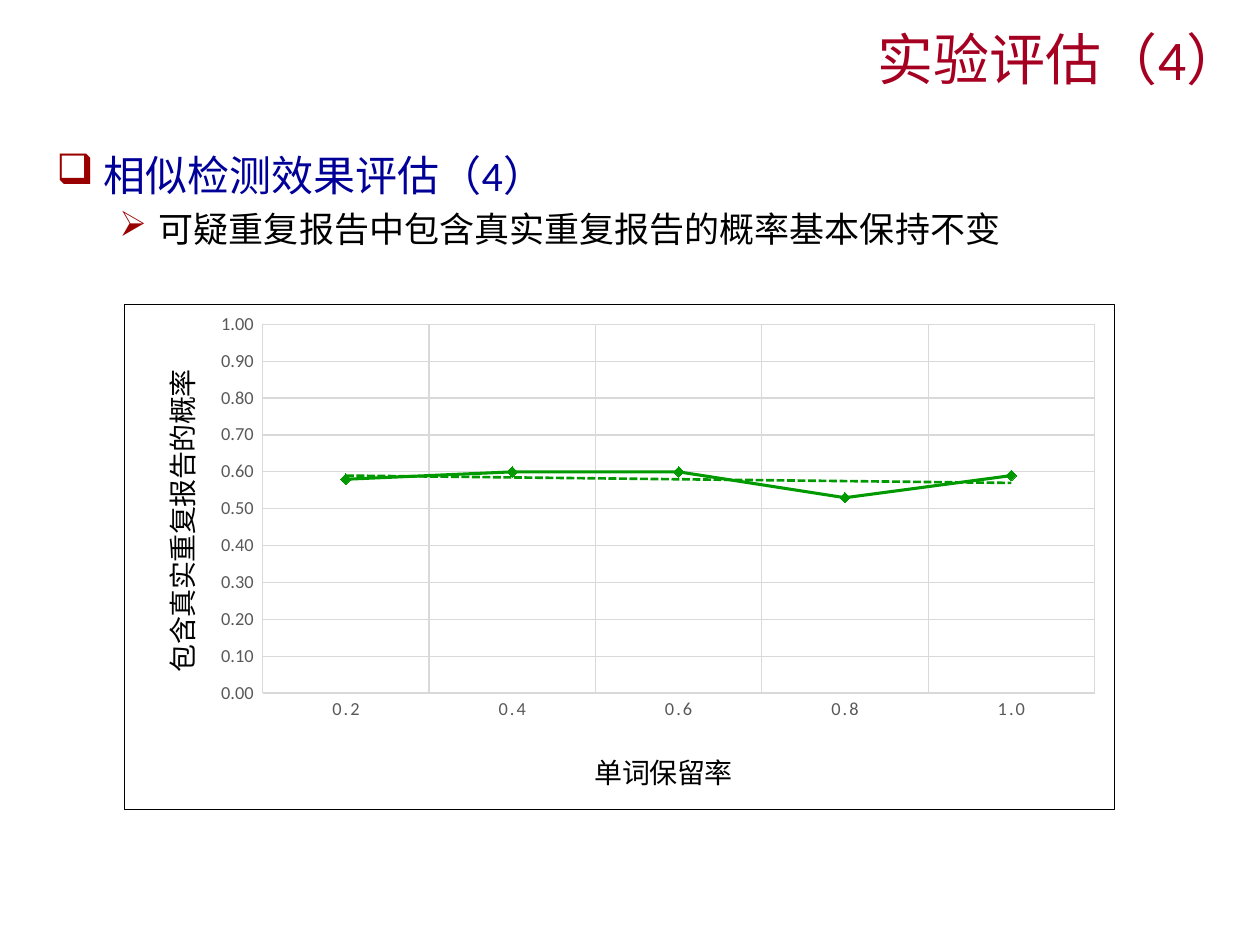
from lxml import etree
from pptx import Presentation
from pptx.chart.data import CategoryChartData
from pptx.dml.color import RGBColor
from pptx.enum import chart as ch, text as tx
from pptx.oxml import parse_xml
from pptx.oxml.ns import nsdecls, qn
from pptx.util import Pt

CJK = "Noto Sans CJK SC"
GREEN, GRID, TICK, BULLET = "009900", "D9D9D9", "595959", "990000"


def colour(hex_value):
    return RGBColor.from_string(hex_value)


def format_font(font, hex_value, **values):
    for name, value in values.items():
        setattr(font, name, value)
    font.color.rgb = colour(hex_value)


def format_line(line, hex_value, width):
    line.color.rgb = colour(hex_value)
    line.width = Pt(width)


def add_runs(paragraph, pieces, size, hex_value):
    for wording, face in pieces:
        run = paragraph.add_run()
        run.text = wording
        format_font(run.font, hex_value, size=Pt(size), name=face, bold=False)
        east_asian = etree.SubElement(run.font._element, qn("a:ea"))
        east_asian.set("typeface", CJK)


def add_bullet(paragraph, mark, left, hanging, space):
    paragraph.space_before = Pt(space)
    props = paragraph._p.get_or_add_pPr()
    props.set("marL", str(Pt(left)))
    props.set("indent", str(-Pt(hanging)))
    props.append(parse_xml(
        f'<a:buClr {nsdecls("a")}><a:srgbClr val="{BULLET}"/></a:buClr>'))
    props.append(parse_xml(f'<a:buChar {nsdecls("a")} char="{mark}"/>'))


def add_title(slide):
    title = slide.shapes.title
    title.left, title.top, title.width, title.height = map(Pt, (212.4, 10, 504.7, 46))
    frame = title.text_frame
    frame.vertical_anchor = tx.MSO_ANCHOR.BOTTOM
    frame.auto_size = tx.MSO_AUTO_SIZE.NONE
    heading = frame.paragraphs[0]
    heading.alignment = tx.PP_ALIGN.RIGHT
    add_runs(heading, [("实验评估", CJK), ("（4", "Calibri"), ("）", CJK)], 32, "A50021")


def add_findings(slide):
    frame = slide.shapes.add_textbox(*map(Pt, (25.2, 82, 664.6, 69))).text_frame
    frame.word_wrap = True
    topic = frame.paragraphs[0]
    add_bullet(topic, "❑", 27, 27, 4.8)
    add_runs(topic, [("相似检测效果评估", "Times New Roman"), ("（4）", "Calibri")],
             24, "000099")
    finding = frame.add_paragraph()
    finding.level = 1
    add_bullet(finding, "➢", 58.5, 22.5, 4)
    add_runs(finding, [("可疑重复报告中包含真实重复报告的概率基本保持不变", "Times New Roman")],
             20, "000000")


def manual_layout(x, y, size=None):
    """Layout in fractions of the chart; a size makes it the inner plot area."""
    items = [("xMode", "edge"), ("yMode", "edge"), ("x", x), ("y", y)]
    if size:
        items = [("layoutTarget", "inner"), *items, ("w", size[0]), ("h", size[1])]
    inner = "".join(f'<c:{tag} val="{value}"/>' for tag, value in items)
    return parse_xml(f'<c:layout {nsdecls("c")}><c:manualLayout>{inner}'
                     '</c:manualLayout></c:layout>')


def set_layout(parent, layout, after=None):
    for old in parent.findall(qn("c:layout")):
        parent.remove(old)
    if after is None:
        parent.insert(0, layout)
    else:
        after.addnext(layout)


def format_axis(axis, title, x, y):
    axis.major_tick_mark = axis.minor_tick_mark = ch.XL_TICK_MARK.NONE
    axis.has_major_gridlines = True
    for line in (axis.format.line, axis.major_gridlines.format.line):
        format_line(line, GRID, 0.75)
    format_font(axis.tick_labels.font, TICK, size=Pt(10.5), name="Calibri", bold=False)
    add_runs(axis.axis_title.text_frame.paragraphs[0], [(title, CJK)], 16, "000000")
    element = axis.axis_title._element
    set_layout(element, manual_layout(x, y), element.find(qn("c:tx")))


def format_series(series):
    series.smooth = False
    format_line(series.format.line, GREEN, 1.75)
    marker = series.marker
    marker.style, marker.size = ch.XL_MARKER_STYLE.DIAMOND, 6
    marker.format.fill.solid()
    marker.format.fill.fore_color.rgb = colour(GREEN)
    format_line(marker.format.line, GREEN, 0.75)
    series._element.find(qn("c:cat")).addprevious(parse_xml(
        f'<c:trendline {nsdecls("c", "a")}><c:spPr><a:ln w="{Pt(1.5)}">'
        f'<a:solidFill><a:srgbClr val="{GREEN}"/></a:solidFill>'
        '<a:prstDash val="sysDash"/></a:ln></c:spPr><c:trendlineType val="linear"/>'
        '<c:dispRSqr val="0"/><c:dispEq val="0"/></c:trendline>'))


def add_border(chart):
    chart._chartSpace.find(qn("c:chart")).addnext(parse_xml(
        f'<c:spPr {nsdecls("c", "a")}><a:noFill/><a:ln w="{Pt(0.75)}"><a:solidFill>'
        '<a:srgbClr val="000000"/></a:solidFill></a:ln></c:spPr>'))


def add_probability_chart(slide):
    data = CategoryChartData()
    data.categories = ["0.2", "0.4", "0.6", "0.8", "1.0"]
    data.add_series("Series 1", [0.58, 0.6, 0.6, 0.53, 0.59])
    chart = slide.shapes.add_chart(ch.XL_CHART_TYPE.LINE_MARKERS,
                                   *map(Pt, (70.6, 173.5, 566.6, 289.4)), data).chart
    chart.has_legend = chart.has_title = False
    format_font(chart.font, "000000", size=Pt(10), name="TeX Gyre Pagella")
    add_border(chart)
    chart.plots[0].vary_by_categories = False
    format_series(chart.plots[0].series[0])

    retention, probability = chart.category_axis, chart.value_axis
    format_axis(retention, "单词保留率", 0.47, 0.87)
    format_axis(probability, "包含真实重复报告的概率", 0.03, 0.12)
    retention.tick_labels.font._element.set("spc", "120")
    scale = {"minimum_scale": 0, "maximum_scale": 1, "major_unit": 0.1}
    for name, value in scale.items():
        setattr(probability, name, value)
    probability.tick_labels.number_format = "0.00_ "
    probability.tick_labels.number_format_is_linked = False
    plot_area = chart._chartSpace.find(f'{qn("c:chart")}/{qn("c:plotArea")}')
    set_layout(plot_area, manual_layout(0.14, 0.04, (0.84, 0.73)))


def main():
    deck = Presentation()
    deck.slide_width, deck.slide_height = Pt(720), Pt(540)
    slide = deck.slides.add_slide(deck.slide_layouts[5])
    add_title(slide)
    add_findings(slide)
    add_probability_chart(slide)
    deck.save("out.pptx")


if __name__ == "__main__":
    main()
